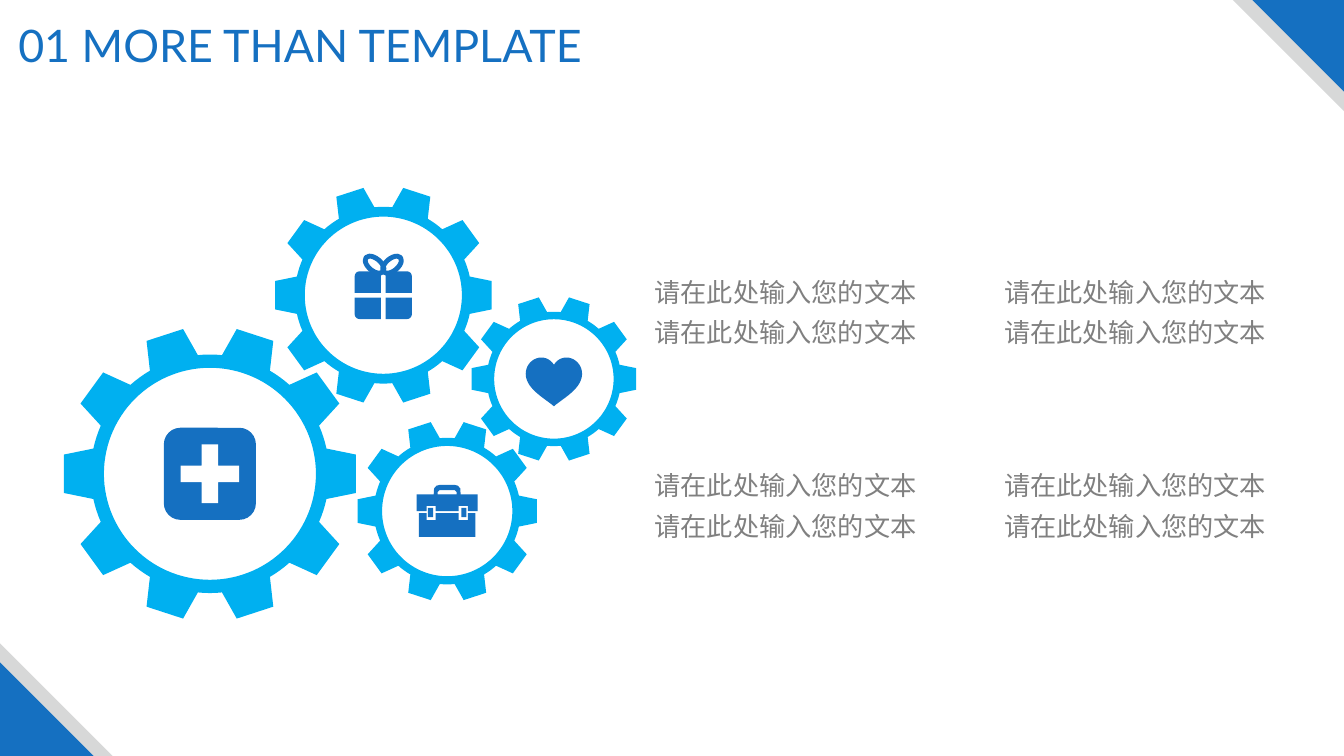
import math

from lxml import etree
from pptx import Presentation
from pptx import util as u
from pptx.dml.color import RGBColor
from pptx.enum import shapes, text
from pptx.oxml.ns import qn

COLORS = {"blue": "1570C1", "cyan": "00B0F0", "silver": "D7D8D8",
          "gray": "808080", "white": "FFFFFF"}
WIDTH, HEIGHT = 33.87, 19.05
TEETH = 10
PRESET = shapes.MSO_SHAPE


def rgb(name):
    return RGBColor.from_string(COLORS[name])


def paint(shape, color):
    shape.shadow.inherit = False
    shape.fill.solid()
    shape.fill.fore_color.rgb = rgb(color)
    shape.line.fill.background()


def add_preset(slide, preset, left, top, width, height, color):
    shape = slide.shapes.add_shape(
        preset, u.Cm(left), u.Cm(top), u.Cm(width), u.Cm(height))
    paint(shape, color)
    return shape


def add_outline(slide, center, contours, color):
    """Draw closed contours, given in cm around center; inner ones are holes."""
    placed = [[(u.Cm(center[0] + x), u.Cm(center[1] + y)) for x, y in contour]
              for contour in contours]
    builder = slide.shapes.build_freeform(*placed[0][0])
    for index, points in enumerate(placed):
        if index:
            builder.move_to(*points[0])
        builder.add_line_segments(points[1:], close=True)
    paint(builder.convert_to_shape(), color)


def mirrored(half):
    """Complete a right half with its reflection in the vertical axis."""
    return half + [(-x, y) for x, y in reversed(half)]


def polar(radius, degrees):
    angle = math.radians(degrees)
    return radius * math.cos(angle), radius * math.sin(angle)


def bezier(start, first, second, end, steps=16):
    curve = []
    for step in range(steps + 1):
        t = step / steps
        weights = ((1 - t) ** 3, 3 * t * (1 - t) ** 2, 3 * t * t * (1 - t), t ** 3)
        curve.append(tuple(
            sum(w * point[axis] for w, point in zip(weights, (start, first, second, end)))
            for axis in (0, 1)))
    return curve


def add_gear(slide, center, radius):
    root, hole = 0.81 * radius, 0.72 * radius
    rim = []
    for tooth in range(TEETH):
        middle = tooth * 360 / TEETH
        rim += [polar(radius, middle - 7.5), polar(radius, middle + 7.5)]
        rim += [polar(root, middle + turn) for turn in (12.2, 15, 18, 21, 23.8)]
    ring = [polar(hole, -degrees) for degrees in range(0, 360, 3)]
    add_outline(slide, center, [rim, ring], "cyan")


def add_medical_cross(slide, center):
    for preset, size, adjustment, color in (
            (PRESET.ROUNDED_RECTANGLE, 2.32, 0.18, "blue"),
            (PRESET.CROSS, 1.48, 0.36, "white")):
        shape = add_preset(slide, preset, center[0] - size / 2,
                           center[1] - size / 2, size, size, color)
        shape.adjustments[0] = adjustment


def add_gift(slide, center):
    gap, right, bottom, radius = 0.06, 0.72, 0.6, 0.12
    corner = [(right - radius + x, bottom - radius + y)
              for x, y in (polar(radius, degrees) for degrees in range(0, 91, 15))]
    quarter = [(gap, gap), (right, gap), *corner, (gap, bottom)]
    loop_width, loop_height = 0.56, 0.31
    for side in (-1, 1):
        for level in (-1, 1):
            add_outline(slide, center,
                        [[(side * x, level * y) for x, y in quarter]], "blue")
        loop = add_preset(slide, PRESET.OVAL,
                          center[0] + side * 0.22 - loop_width / 2,
                          center[1] - 0.77 - loop_height / 2,
                          loop_width, loop_height, "blue")
        loop.rotation = -40 * side
        loop.fill.background()
        loop.line.color.rgb = rgb("blue")
        loop.line.width = u.Pt(3.5)


def add_briefcase(slide, center):
    handle = [(0, -0.66), (0.19, -0.66), (0.27, -0.64), (0.33, -0.57),
              (0.34, -0.41), (0, -0.41)]
    grip = [(0, -0.53), (0.19, -0.53), (0.24, -0.48), (0.24, -0.41), (0, -0.41)]
    lid = [(0, -0.42), (0.77, -0.42), (0.77, 0), (0.52, 0), (0.52, -0.13),
           (0.29, -0.13), (0.29, 0), (0, 0)]
    case = [(0, 0.05), (0.29, 0.05), (0.29, 0.23), (0.52, 0.23), (0.52, 0.05),
            (0.71, 0.05), (0.71, 0.65), (0, 0.65)]
    for halves in ([handle, grip], [lid], [case]):
        add_outline(slide, center, [mirrored(half) for half in halves], "blue")
    clasp_width = 0.13
    for side in (-1, 1):
        add_preset(slide, PRESET.RECTANGLE,
                   center[0] + side * 0.42 - clasp_width / 2, center[1] - 0.08,
                   clasp_width, 0.23, "blue")


def add_heart(slide, center):
    half = (bezier((0, -0.36), (0.23, -0.71), (0.71, -0.51), (0.71, -0.13))
            + bezier((0.71, -0.13), (0.71, 0.13), (0.47, 0.33), (0.3, 0.46))
            + bezier((0.3, 0.46), (0.1, 0.61), (0.05, 0.64), (0, 0.69)))
    add_outline(slide, center, [mirrored(half)], "blue")


def add_corners(slide):
    for rotation, sizes in ((180, (2.8, 2.31)), (0, (2.84, 2.36))):
        for size, color in zip(sizes, ("silver", "blue")):
            left, top = (WIDTH - size, 0) if rotation else (0, HEIGHT - size)
            triangle = add_preset(slide, PRESET.RIGHT_TRIANGLE,
                                  left, top, size, size, color)
            triangle.rotation = rotation


def format_text(shape, font_name, size, color):
    frame = shape.text_frame
    frame.word_wrap = True
    frame.auto_size = text.MSO_AUTO_SIZE.NONE
    frame.vertical_anchor = text.MSO_ANCHOR.TOP
    for paragraph in frame.paragraphs:
        paragraph.alignment = text.PP_ALIGN.CENTER
        for run in paragraph.runs:
            run.font.name = font_name
            run.font.size = u.Pt(size)
            run.font.color.rgb = rgb(color)
            east_asian = etree.SubElement(run.font._element, qn("a:ea"))
            east_asian.set("typeface", font_name)


def add_title(slide, left, top, width, height):
    title = slide.shapes.title
    title.left, title.top = u.Cm(left), u.Cm(top)
    title.width, title.height = u.Cm(width), u.Cm(height)
    title.text_frame.text = "01 MORE THAN TEMPLATE"
    format_text(title, "Lato", 32, "blue")
    title.text_frame.paragraphs[0].line_spacing = 1.0


def add_captions(slide, left, top):
    width, height, row_pitch = 8.81, 2.34, 4.88
    for column in range(2):
        for row in range(2):
            box = slide.shapes.add_textbox(
                u.Cm(left + column * width), u.Cm(top + row * row_pitch),
                u.Cm(width), u.Cm(height))
            box.text_frame.text = "\n".join(["请在此处输入您的文本"] * 2)
            format_text(box, "Noto Sans CJK SC", 18.7, "gray")
            for paragraph in box.text_frame.paragraphs:
                paragraph.line_spacing = u.Pt(29)


def main():
    presentation = Presentation()
    presentation.slide_width, presentation.slide_height = u.Cm(WIDTH), u.Cm(HEIGHT)
    slide = presentation.slides.add_slide(presentation.slide_layouts[5])
    add_corners(slide)
    add_title(slide, 0.05, 0.33, 15.04, 1.63)
    for center, radius, add_icon in (
            ((5.29, 11.94), 3.71, add_medical_cross),
            ((9.66, 7.44), 2.75, add_gift),
            ((11.27, 12.88), 2.28, add_briefcase),
            ((13.96, 9.55), 2.09, add_heart)):
        add_gear(slide, center, radius)
        add_icon(slide, center)
    add_captions(slide, 15.39, 6.6)
    presentation.save("out.pptx")


if __name__ == "__main__":
    main()
